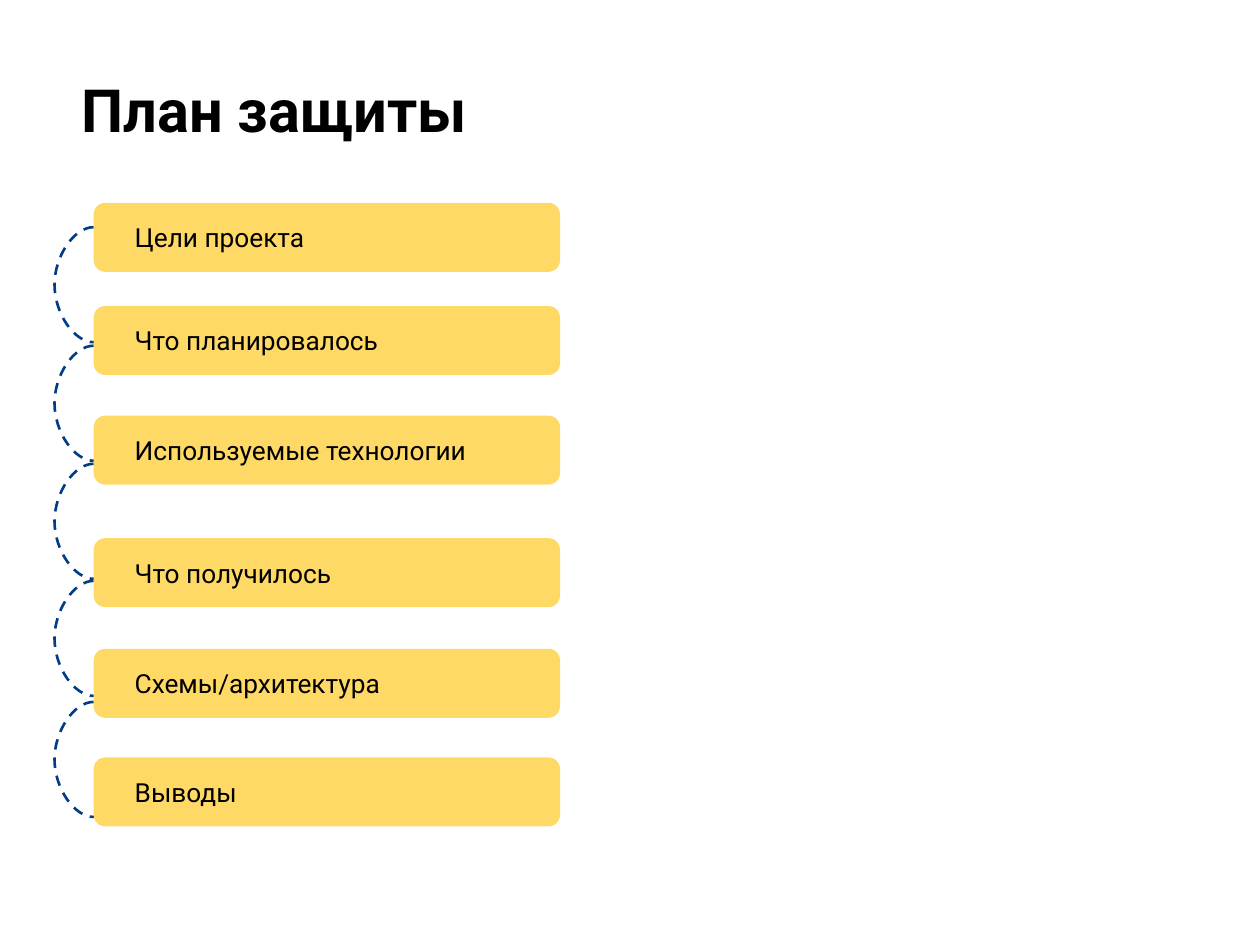
from lxml import etree
from pptx import Presentation
from pptx import util as u
from pptx.dml.color import RGBColor
from pptx.enum import dml, shapes, text
from pptx.oxml.ns import qn

FONT = "Roboto"
BLACK, YELLOW, NAVY = "000000", "FFD966", "013D85"

# Each step with its distance from the top of the list, in cm
STEPS = [
    ("Цели проекта", 0),
    ("Что планировалось", 2.08),
    ("Используемые технологии", 4.29),
    ("Что получилось", 6.76),
    ("Схемы/архитектура", 8.99),
    ("Выводы", 11.18),
]
LINK_TOPS = [0.49, 2.88, 5.26, 7.62, 10.06]
STEP_HEIGHT = 1.39
LINK_HEIGHT = 2.32
LINK_WIDTH = 0.002
LINK_BULGE = 0.79


def color(value):
    return RGBColor.from_string(value)


def write(shape, words, size, bold=False, anchor=text.MSO_ANCHOR.TOP, side=0.25):
    frame = shape.text_frame
    frame.word_wrap = True
    frame.auto_size = text.MSO_AUTO_SIZE.NONE
    frame.vertical_anchor = anchor
    frame.margin_left = frame.margin_right = u.Cm(side)
    frame.margin_top = frame.margin_bottom = u.Cm(0.25)
    para = frame.paragraphs[0]
    para.alignment = text.PP_ALIGN.LEFT
    span = para.add_run()
    span.text = words
    span.font.name = FONT
    span.font.size = u.Pt(size)
    span.font.bold = bold
    span.font.color.rgb = color(BLACK)


def add_title(page, left, top, width, height):
    title = page.shapes.title
    title.left, title.top = u.Cm(left), u.Cm(top)
    title.width, title.height = u.Cm(width), u.Cm(height)
    write(title, "План защиты", 34, bold=True)


def add_link(page, left, top):
    """Dashed curve that bulges to the left of the steps."""
    link = page.shapes.add_connector(
        shapes.MSO_CONNECTOR.CURVE,
        u.Cm(left), u.Cm(top), u.Cm(left + LINK_WIDTH), u.Cm(top + LINK_HEIGHT))
    link.line.color.rgb = color(NAVY)
    link.line.width = u.Pt(1.5)
    link.line.dash_style = dml.MSO_LINE.DASH
    properties = link._element.spPr
    etree.SubElement(properties, qn("a:effectLst"))
    # The bend is given in 1/100000 of the link's width
    guides = properties.find(qn("a:prstGeom")).get_or_add_avLst()
    bend = round(-LINK_BULGE / LINK_WIDTH * 100000)
    etree.SubElement(guides, qn("a:gd"), name="adj1", fmla=f"val {bend}")


def add_step(page, words, left, top, width):
    box = page.shapes.add_shape(
        shapes.MSO_SHAPE.ROUNDED_RECTANGLE,
        u.Cm(left), u.Cm(top), u.Cm(width), u.Cm(STEP_HEIGHT))
    box.shadow.inherit = False
    box.fill.solid()
    box.fill.fore_color.rgb = color(YELLOW)
    box.line.fill.background()
    write(box, words, 15, anchor=text.MSO_ANCHOR.MIDDLE, side=0.76)


def add_plan(page, left, top, width):
    # Links lie behind the steps
    for offset in LINK_TOPS:
        add_link(page, left, top + offset)
    for words, offset in STEPS:
        add_step(page, words, left, top + offset, width)


def main():
    deck = Presentation()
    deck.slide_width, deck.slide_height = u.Cm(25.4), u.Cm(19.05)
    page = deck.slides.add_slide(deck.slide_layouts[5])
    add_title(page, 1.4, 1.22, 23.67, 2.31)
    add_plan(page, 1.89, 4.09, 9.4)
    deck.save("out.pptx")


if __name__ == "__main__":
    main()
